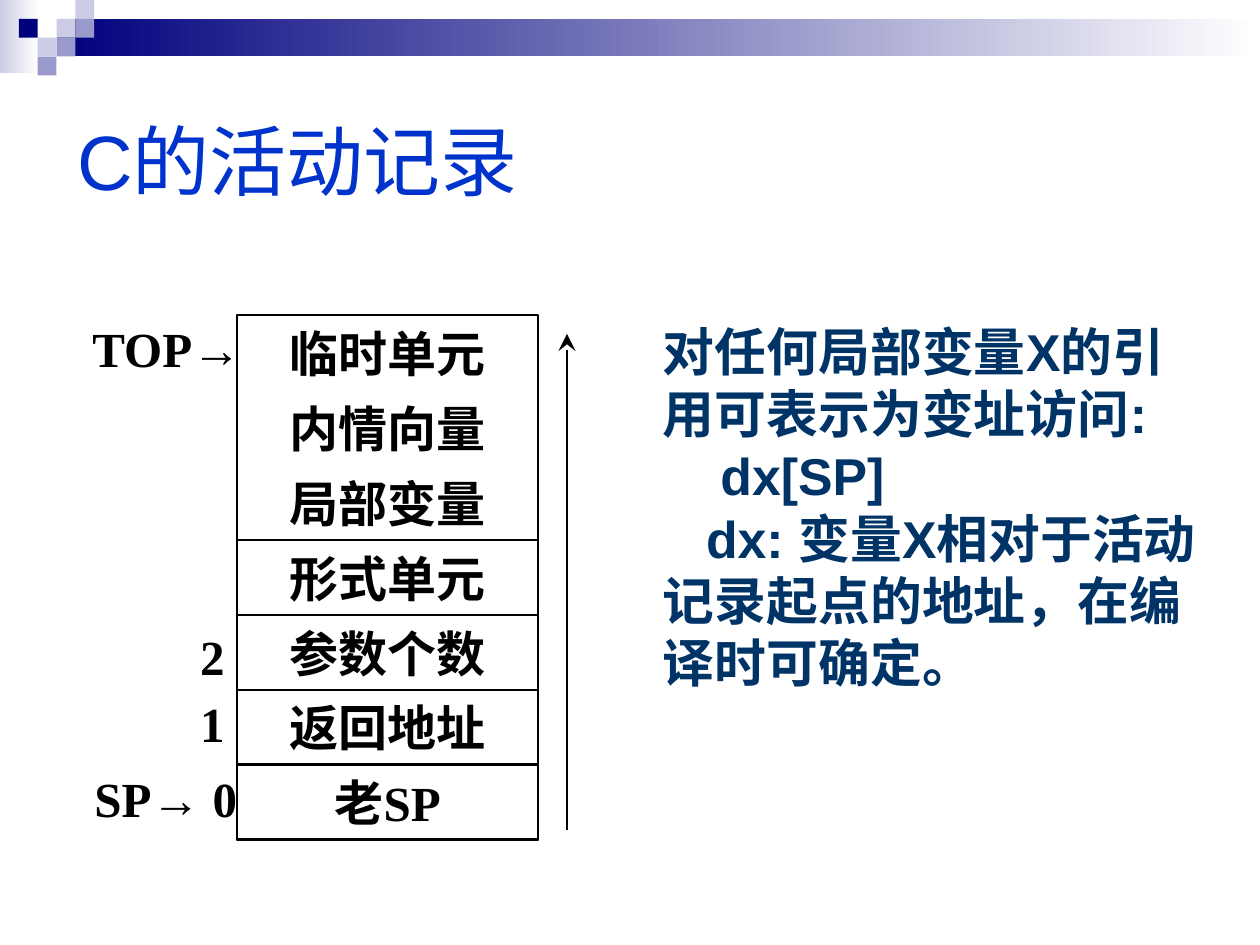
from lxml import etree
from pptx import Presentation
from pptx.dml.color import RGBColor
from pptx.enum.shapes import MSO_CONNECTOR, MSO_SHAPE
from pptx.enum.text import MSO_ANCHOR, MSO_AUTO_SIZE, PP_ALIGN
from pptx.oxml.ns import qn
from pptx.util import Cm, Pt

RECT = MSO_SHAPE.RECTANGLE
LINE = MSO_CONNECTOR.STRAIGHT
MIDDLE, TOP = MSO_ANCHOR.MIDDLE, MSO_ANCHOR.TOP
LEFT, CENTER, RIGHT = PP_ALIGN.LEFT, PP_ALIGN.CENTER, PP_ALIGN.RIGHT
NO_FIT = MSO_AUTO_SIZE.NONE

BLACK = RGBColor(0, 0, 0)
WHITE = RGBColor(255, 255, 255)
NAVY = RGBColor(0, 0, 0x7D)
LILAC = RGBColor(0xCC, 0xCC, 0xE6)
MAUVE = RGBColor(0x99, 0x99, 0xCC)
BLUE = RGBColor(0, 0x33, 0xCC)
TEAL = RGBColor(0, 0x33, 0x66)
SANS, SERIF = "Arial", "Times New Roman"

TITLE = "C的活动记录"
# text, first-line indent in cm
NOTES = [
    ("对任何局部变量X的引用可表示为变址访问:", 0),
    ("dx[SP]", 1.16),
    ("dx: 变量X相对于活动记录起点的地址，在编译时可确定。", 0.87),
]
# text, boxed
ROWS = [
    ("临时单元", False),
    ("内情向量", False),
    ("局部变量", False),
    ("形式单元", True),
    ("参数个数", True),
    ("返回地址", True),
    ("老SP", True),
]
# runs, left, top, width, alignment
LABELS = [
    ([("TOP", SERIF), ("→ ", SANS)], 1.5, 6.35, 4, CENTER),
    ([("2", SERIF)], 3.18, 12.57, 1.6, RIGHT),
    ([("1", SERIF)], 3.18, 13.92, 1.6, RIGHT),
    ([("SP", SERIF), ("→", SANS), (" 0", SERIF)], 1.34, 15.42, 4, CENTER),
]
# left, top, width, height, colour at the left
BARS = [(0, 0, 0.79, 1.47, LILAC), (1.14, 0.38, 24.26, 0.76, NAVY)]
# column, row, colour
TILES = [
    (3, 1, LILAC), (4, 0, LILAC), (4, 1, MAUVE), (2, 2, LILAC),
    (1, 1, NAVY), (3, 2, MAUVE), (2, 3, MAUVE),
]
TILE = 0.38
STACK_X, STACK_Y, STACK_W, STACK_H = 4.78, 6.35, 6.07, 10.58


def add_run(para, text, font, size, color, bold=True):
    run = para.add_run()
    run.text = text
    run.font.name, run.font.size, run.font.bold = font, Pt(size), bold
    run.font.color.rgb = color


def add_rect(shapes, *box):
    rect = shapes.add_shape(RECT, *map(Cm, box))
    rect.shadow.inherit = False
    rect.line.fill.background()
    return rect


def add_frame(shapes, *box):
    frame = add_rect(shapes, *box)
    frame.fill.background()
    frame.line.color.rgb = BLACK
    frame.line.width = Pt(1.5)
    return frame


def write(shape, runs, align):
    frame = shape.text_frame
    frame.word_wrap = False
    frame.vertical_anchor = MIDDLE
    para = frame.paragraphs[0]
    para.alignment = align
    for text, font in runs:
        add_run(para, text, font, 28, BLACK)


def place(holder, left, top, width, height, anchor):
    holder.left, holder.top = Cm(left), Cm(top)
    holder.width, holder.height = Cm(width), Cm(height)
    frame = holder.text_frame
    frame.word_wrap = True
    frame.auto_size = NO_FIT
    frame.vertical_anchor = anchor
    return frame


def add_decor(shapes):
    for *box, color in BARS:
        fill = add_rect(shapes, *box).fill
        fill.gradient()
        fill.gradient_angle = 0
        for stop, shade in zip(fill.gradient_stops, (color, WHITE)):
            stop.color.rgb = shade
    for col, row, color in TILES:
        tile = add_rect(shapes, col * TILE, row * TILE, TILE, TILE)
        tile.fill.solid()
        tile.fill.fore_color.rgb = color


def add_stack(shapes):
    add_frame(shapes, STACK_X, STACK_Y, STACK_W, STACK_H)
    step = STACK_H / len(ROWS)
    for i, (text, boxed) in enumerate(ROWS):
        box = STACK_X, STACK_Y + i * step, STACK_W, step
        if boxed:
            cell = add_frame(shapes, *box)
        else:
            cell = shapes.add_textbox(*map(Cm, box))
        write(cell, [(text, SERIF)], CENTER)
    for runs, left, top, width, align in LABELS:
        label = shapes.add_textbox(Cm(left), Cm(top), Cm(width), Cm(1.32))
        write(label, runs, align)


def add_arrow(shapes):
    arrow = shapes.add_connector(LINE, Cm(11.43), Cm(16.74), Cm(11.43), Cm(6.73))
    arrow.line.color.rgb = BLACK
    arrow.line.width = Pt(1.5)
    line = arrow.line._get_or_add_ln()
    etree.SubElement(line, qn("a:tailEnd"), type="stealth", w="lg", len="lg")
    etree.SubElement(arrow._element.spPr, qn("a:effectLst"))


def add_notes(holder):
    frame = place(holder, 13.11, 6.32, 11.43, 10.8, TOP)
    for i, (text, indent) in enumerate(NOTES):
        para = frame.add_paragraph() if i else frame.paragraphs[0]
        props = para._p.get_or_add_pPr()
        props.set("marL", "0")
        props.set("indent", str(Cm(indent)))
        etree.SubElement(props, qn("a:buNone"))
        para.alignment = LEFT
        para.space_before = Pt(0)
        add_run(para, text, SANS, 29.6, TEAL)


def main():
    prs = Presentation()
    prs.slide_width, prs.slide_height = Cm(25.4), Cm(19.05)
    slide = prs.slides.add_slide(prs.slide_layouts[1])
    shapes = slide.shapes
    add_decor(shapes)
    head = place(shapes.title, 1.3, 1.32, 22.86, 3.81, MIDDLE).paragraphs[0]
    head.alignment = LEFT
    add_run(head, TITLE, SANS, 44, BLUE, False)
    add_notes(slide.placeholders[1])
    add_stack(shapes)
    add_arrow(shapes)
    prs.save("out.pptx")


if __name__ == "__main__":
    main()
